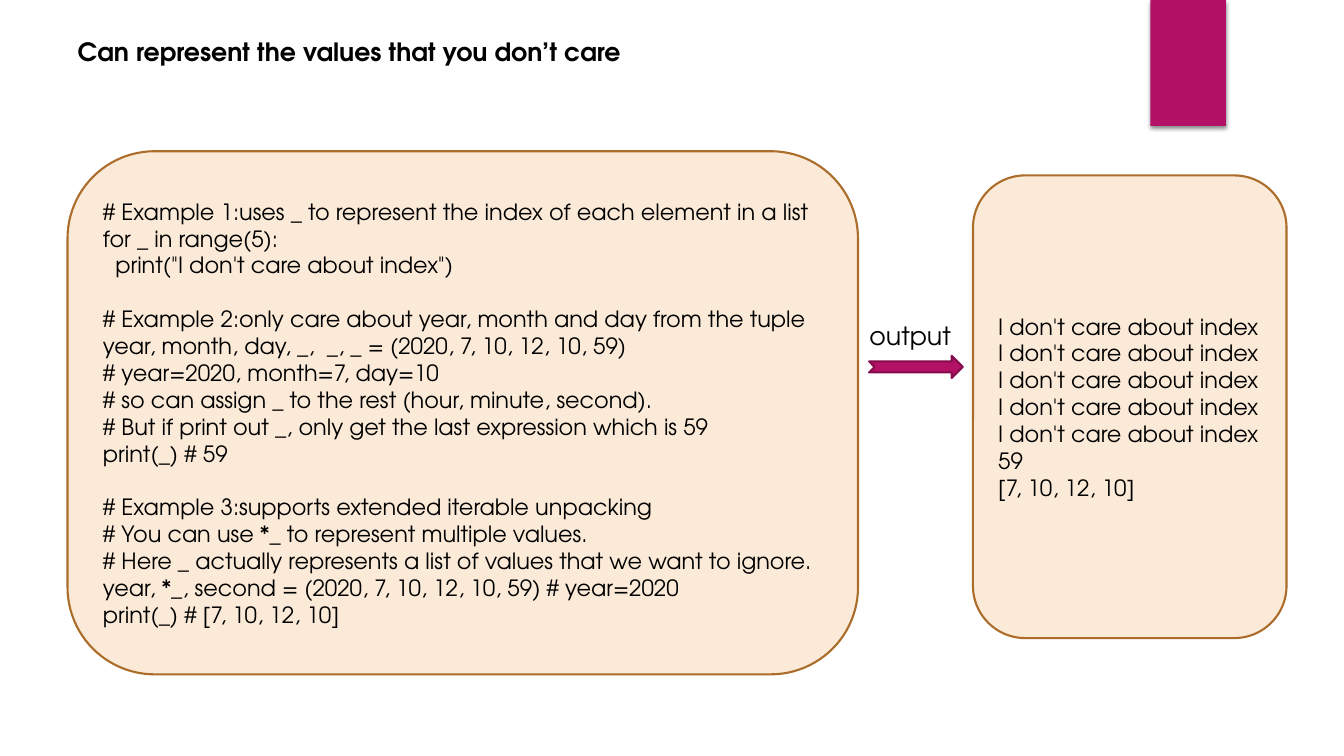
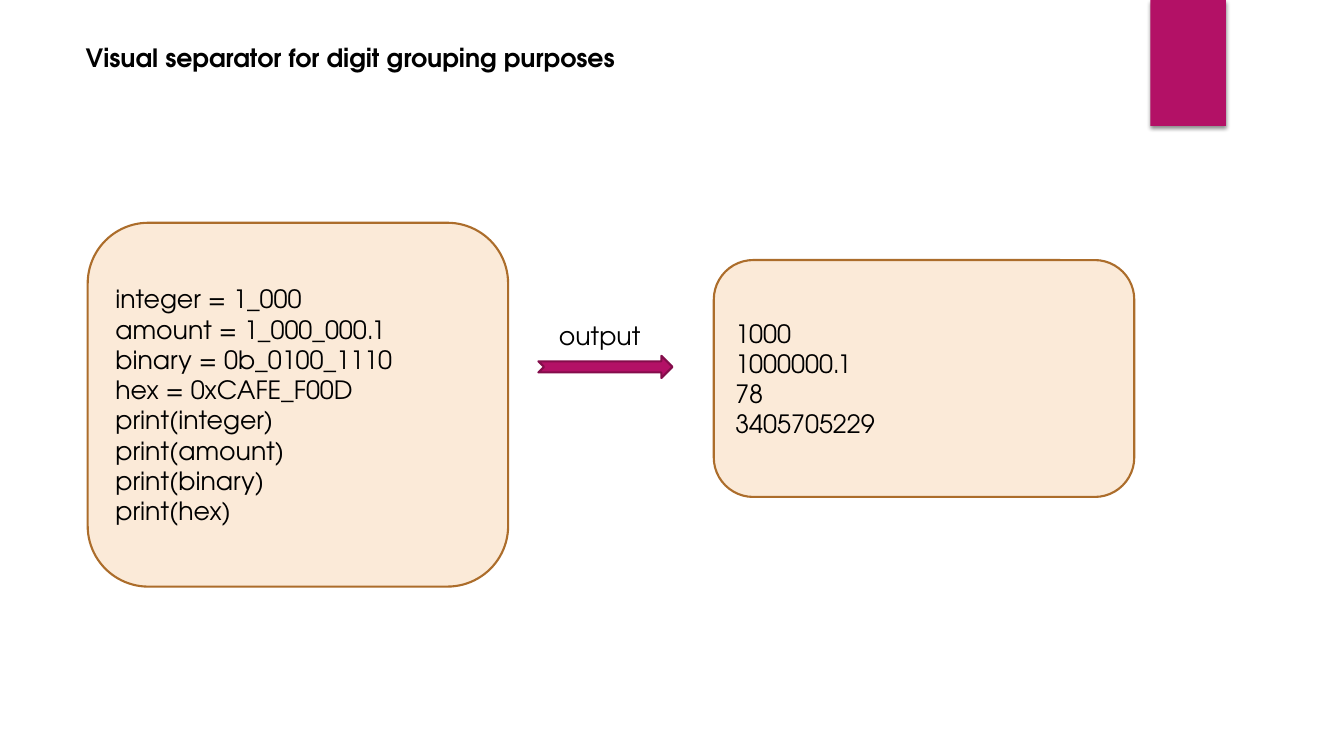
from dataclasses import dataclass

from lxml.etree import SubElement
from pptx import Presentation
from pptx.dml.color import RGBColor
from pptx.enum.shapes import MSO_SHAPE as SHAPE
from pptx.enum.text import MSO_ANCHOR as ANCHOR, MSO_AUTO_SIZE as FIT, PP_ALIGN as ALIGN
from pptx.oxml.ns import qn
from pptx.util import Inches, Pt


@dataclass(frozen=True)
class Theme:
    font: str = "TeX Gyre Adventor"
    text: str = "000000"
    accent: str = "B31166"
    accent_line: str = "840D4B"
    panel: str = "FBEAD8"
    panel_line: str = "AC6D2B"
    line: float = 1.5
    heading: int = 18
    leading: float = 1.2


THEME = Theme()
RIBBON = (11.41, 0, 0.75, 1.25)
ARROW_TOP, ARROW_H = 3.53, 0.22
LABEL_TOP, LABEL_W, LABEL_H = 3.13, 1.02, 0.4
LABEL_SHIFT = 0.05  # the label sits slightly left of the arrow's centre

# Each panel is a list of blocks, and each block a list of lines.
SLIDES = [
    {
        "title": "Can represent the values that you don’t care",
        "title_at": (0.67, 0.31, 5.66, 0.4),
        "size": 16,
        "arrow": (8.62, 0.93),
        "panels": [
            ((0.67, 1.5, 7.84, 5.19), [
                ["# Example 1:uses _ to represent the index of each element in a list",
                 "for _ in range(5):",
                 "  print(\"I don't care about index\")"],
                ["# Example 2:only care about year, month and day from the tuple",
                 "year, month, day, _,  _, _ = (2020, 7, 10, 12, 10, 59)",
                 "# year=2020, month=7, day=10",
                 "# so can assign _ to the rest (hour, minute, second).",
                 "# But if print out _, only get the last expression which is 59",
                 "print(_) # 59"],
                ["# Example 3:supports extended iterable unpacking",
                 "# You can use *_ to represent multiple values.",
                 "# Here _ actually represents a list of values that we want to ignore.",
                 "year, *_, second = (2020, 7, 10, 12, 10, 59) # year=2020",
                 "print(_) # [7, 10, 12, 10]"],
            ]),
            ((9.65, 1.74, 3.11, 4.59), [
                ["I don't care about index"] * 5 + ["59", "[7, 10, 12, 10]"],
            ]),
        ],
    },
    {
        "title": "Visual separator for digit grouping purposes",
        "title_at": (0.75, 0.37, 5.5, 0.4),
        "size": 18,
        "arrow": (5.34, 1.33),
        "panels": [
            ((0.87, 2.21, 4.17, 3.61), [
                ["integer = 1_000",
                 "amount = 1_000_000.1",
                 "binary = 0b_0100_1110",
                 "hex = 0xCAFE_F00D",
                 "print(integer)",
                 "print(amount)",
                 "print(binary)",
                 "print(hex)"],
            ]),
            ((7.08, 2.58, 4.17, 2.35), [
                ["1000", "1000000.1", "78", "3405705229"],
            ]),
        ],
    },
]


def rgb(value):
    return RGBColor.from_string(value)


def box(at):
    return [Inches(v) for v in at]


def write(tf, blocks, size, bold=False, wrap=True, anchor=ANCHOR.TOP):
    """Fill a frame with left-aligned lines, leaving one line's gap between blocks."""
    frame = {"word_wrap": wrap, "vertical_anchor": anchor, "auto_size": FIT.NONE}
    for name, value in frame.items():
        setattr(tf, name, value)
    lines = [(line, b > 0 and i == 0)
             for b, block in enumerate(blocks) for i, line in enumerate(block)]
    font = {"name": THEME.font, "size": Pt(size), "bold": bold}
    for n, (line, gap) in enumerate(lines):
        p = tf.add_paragraph() if n else tf.paragraphs[0]
        p.alignment = ALIGN.LEFT
        if gap:
            p.space_before = Pt(size * THEME.leading)
        r = p.add_run()
        r.text = line
        for name, value in font.items():
            setattr(r.font, name, value)
        r.font.color.rgb = rgb(THEME.text)


def add_shape(slide, kind, at, fill, line=None):
    sp = slide.shapes.add_shape(kind, *box(at))
    sp.shadow.inherit = False
    sp.fill.solid()
    sp.fill.fore_color.rgb = rgb(fill)
    if line:
        sp.line.color.rgb = rgb(line)
        sp.line.width = Pt(THEME.line)
    else:
        sp.line.fill.background()
    return sp


def add_ribbon(slide):
    """Draw the ribbon once and move it to the layout that all slides share."""
    sp = add_shape(slide, SHAPE.RECTANGLE, RIBBON, THEME.accent)
    effects = sp.element.spPr.find(qn("a:effectLst"))
    shadow = SubElement(effects, qn("a:outerShdw"), blurRad=str(Pt(3)),
                        dist=str(Pt(2)), dir="5400000", rotWithShape="0")
    color = SubElement(shadow, qn("a:srgbClr"), val="000000")
    SubElement(color, qn("a:alpha"), val="45000")
    sp.element.nvSpPr.cNvPr.set("id", "20")
    slide.slide_layout.shapes.element.append(sp.element)


def add_title(slide, text, at):
    title = slide.shapes.title
    title.left, title.top, title.width, title.height = box(at)
    write(title.text_frame, [[text]], THEME.heading, bold=True, wrap=False)


def add_panel(slide, at, blocks, size):
    sp = add_shape(slide, SHAPE.ROUNDED_RECTANGLE, at, THEME.panel, THEME.panel_line)
    write(sp.text_frame, blocks, size, anchor=ANCHOR.MIDDLE)


def add_output_arrow(slide, left, width):
    add_shape(slide, SHAPE.NOTCHED_RIGHT_ARROW, (left, ARROW_TOP, width, ARROW_H),
              THEME.accent, THEME.accent_line)
    label_left = left + (width - LABEL_W) / 2 - LABEL_SHIFT
    label = slide.shapes.add_textbox(*box((label_left, LABEL_TOP, LABEL_W, LABEL_H)))
    write(label.text_frame, [["output"]], THEME.heading, wrap=False)


def main():
    prs = Presentation()
    prs.slide_width, prs.slide_height = Inches(13.33), Inches(7.5)
    title_only = prs.slide_layouts[5]
    for n, content in enumerate(SLIDES):
        slide = prs.slides.add_slide(title_only)
        if n == 0:
            add_ribbon(slide)
        add_title(slide, content["title"], content["title_at"])
        for at, blocks in content["panels"]:
            add_panel(slide, at, blocks, content["size"])
        add_output_arrow(slide, *content["arrow"])
    prs.save("out.pptx")


if __name__ == "__main__":
    main()
